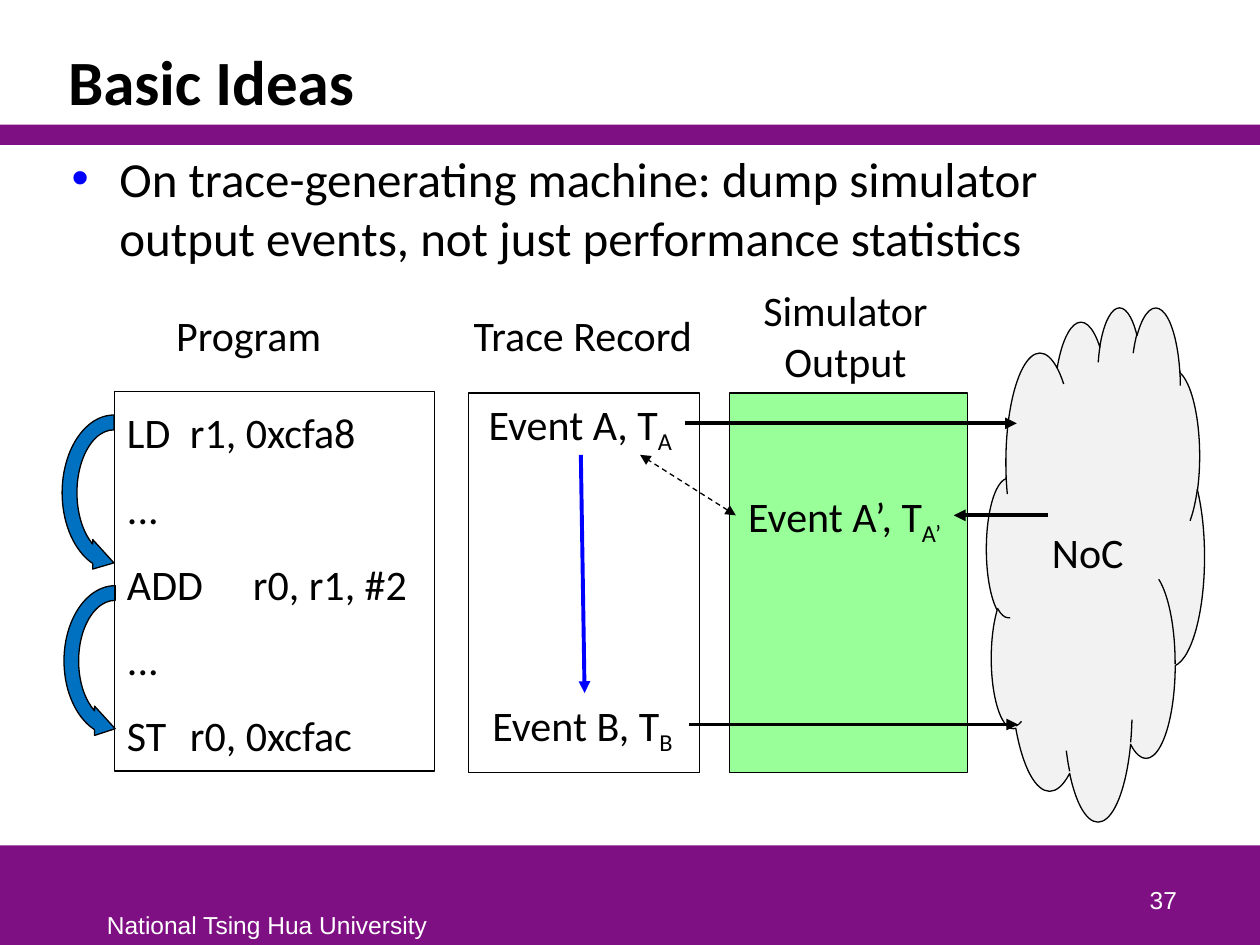
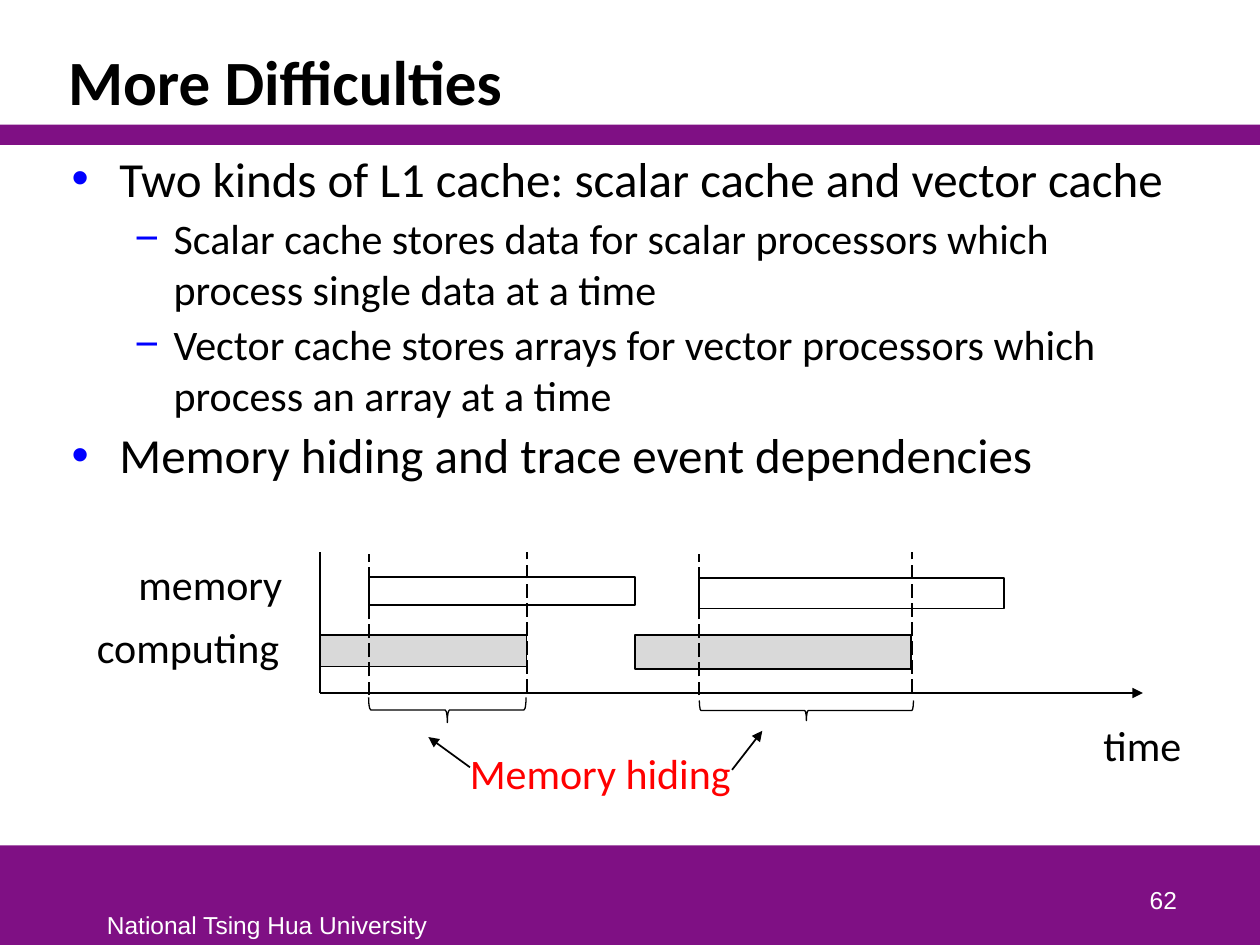
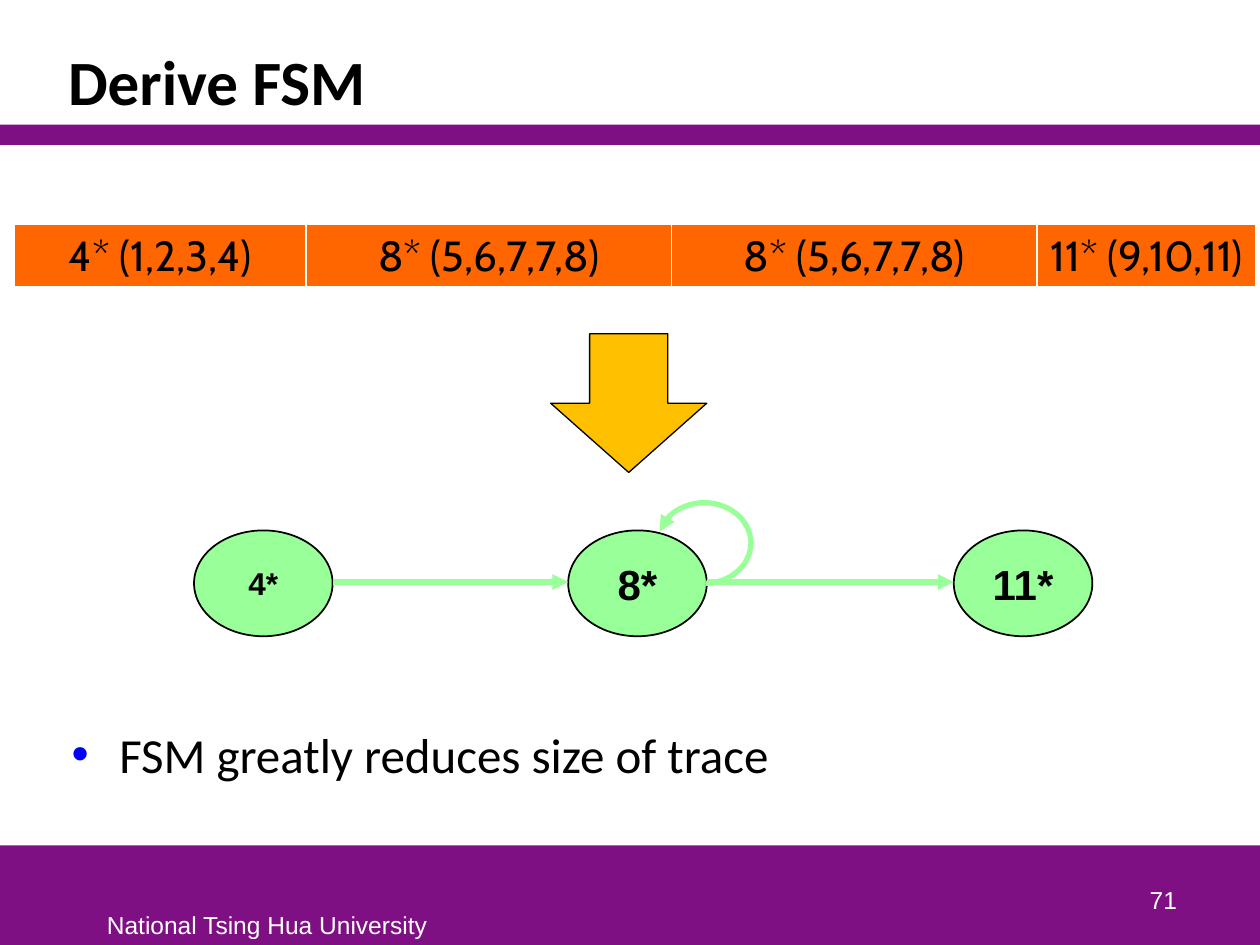
"""Build three slides on trace-driven simulation."""
from dataclasses import dataclass
from typing import NamedTuple

from lxml import etree
from pptx import Presentation
from pptx import util as u
from pptx.dml.color import RGBColor
from pptx.enum import dml, shapes, text
from pptx.oxml.ns import qn

COLOURS = {
    "black": "000000", "white": "FFFFFF", "purple": "7F1084", "blue": "0000FF",
    "red": "FF0000", "green": "99FF99", "arrow": "0070C0", "cloud": "F2F2F2",
    "computing": "D9D9D9", "orange": "FF6600", "amber": "FFC000",
}
SHAPE = shapes.MSO_SHAPE
ALIGN = text.PP_ALIGN
ANCHOR = text.MSO_ANCHOR
DASH = dml.MSO_LINE


class Box(NamedTuple):
    left: float
    top: float
    width: float
    height: float

    def lengths(self) -> tuple:
        return tuple(u.Inches(value) for value in self)


class BulletStyle(NamedTuple):
    symbol: str
    size: int
    margin: float
    hanging: float


@dataclass
class Figure:
    kind: int
    box: Box
    fill: str | None = None
    line: str | None = "black"
    weight: float = 0.75
    rotation: int = 0
    flip: str = ""
    label: str = ""
    label_format: dict | None = None


@dataclass
class Label:
    content: str
    box: Box
    subscript: str = ""
    colour: str = "black"
    align: int = ALIGN.LEFT
    spacing: float | None = None


@dataclass
class Line:
    start: tuple
    end: tuple
    colour: str = "black"
    weight: float = 1
    dash: int | None = None
    head: bool = False
    tail: bool = False


BULLETS = (BulletStyle("•", 28, 0.38, 0.38), BulletStyle("−", 24, 0.81, 0.31))
TITLE = Box(0.44, 0.25, 8.97, 0.74)
BODY = Box(0.47, 1.13, 8.94, 5.53)
BANDS = (Box(0, 6.71, 10, 0.79), Box(0, 0.99, 10, 0.16))
FOOTER = Box(0.75, 7.17, 2.76, 0.33)
NUMBER = Box(7.36, 6.81, 2.08, 0.5)


def rgb(name: str) -> RGBColor:
    """Return the named colour."""
    return RGBColor.from_string(COLOURS[name])


def write(frame, content: str, *, size: float = 24, font: str = "Calibri",
          colour: str = "black", bold: bool = False, align: int = ALIGN.LEFT,
          anchor: int = ANCHOR.TOP, wrap: bool = False, spacing: float | None = None,
          subscript: str = "", levels: tuple = ()) -> None:
    """Fill a text frame, one paragraph a line, bulleted when levels are given."""
    frame.word_wrap = wrap
    frame.auto_size = text.MSO_AUTO_SIZE.NONE
    frame.vertical_anchor = anchor
    for index, words in enumerate(content.split("\n")):
        paragraph = frame.add_paragraph() if index else frame.paragraphs[0]
        paragraph.alignment = align
        paragraph.line_spacing = spacing
        paragraph.space_before = u.Pt(3 if levels and index else 0)
        points = size
        if levels:
            points = BULLETS[levels[index]].size
            add_bullet(paragraph, levels[index])
        parts = [words, subscript] if subscript else [words]
        for position, part in enumerate(parts):
            run = paragraph.add_run()
            run.text = part
            run.font.size = u.Pt(points)
            run.font.name = font
            run.font.bold = bold
            run.font.color.rgb = rgb(colour)
            if position:
                run._r.get_or_add_rPr().set("baseline", "-25000")


def add_bullet(paragraph, level: int) -> None:
    """Give a paragraph the bullet and indent of its level."""
    style = BULLETS[level]
    properties = paragraph._p.get_or_add_pPr()
    properties.set("lvl", str(level))
    properties.set("marL", str(u.Inches(style.margin)))
    properties.set("indent", str(-u.Inches(style.hanging)))
    tint = etree.SubElement(properties, qn("a:buClr"))
    etree.SubElement(tint, qn("a:srgbClr"), val=COLOURS["blue"])
    etree.SubElement(properties, qn("a:buFont"), typeface="Arial")
    etree.SubElement(properties, qn("a:buChar"), char=style.symbol)


def add_text(slide, box: Box, content: str, **text_format):
    """Add a text box."""
    shape = slide.shapes.add_textbox(*box.lengths())
    write(shape.text_frame, content, **text_format)
    return shape


def add_label(slide, label: Label):
    """Add a diagram label."""
    return add_text(slide, label.box, label.content, subscript=label.subscript,
                    colour=label.colour, align=label.align, spacing=label.spacing)


def add_figure(slide, figure: Figure):
    """Add a preset shape with its fill, outline and label."""
    shape = slide.shapes.add_shape(figure.kind, *figure.box.lengths())
    shape.shadow.inherit = False
    shape.rotation = figure.rotation
    if figure.flip:
        shape._element.spPr.find(qn("a:xfrm")).set(figure.flip, "1")
    if figure.fill:
        shape.fill.solid()
        shape.fill.fore_color.rgb = rgb(figure.fill)
    else:
        shape.fill.background()
    if figure.line:
        shape.line.color.rgb = rgb(figure.line)
        shape.line.width = u.Pt(figure.weight)
    else:
        shape.line.fill.background()
    if figure.label:
        write(shape.text_frame, figure.label, align=ALIGN.CENTER,
              anchor=ANCHOR.MIDDLE, **(figure.label_format or {}))
    return shape


def add_arrowhead(shape, end: str) -> None:
    """Put a triangle on one end of a line."""
    outline = shape._element.spPr.find(qn("a:ln"))
    etree.SubElement(outline, qn(f"a:{end}"), type="triangle")


def add_line(slide, line: Line):
    """Add a straight line or arrow."""
    points = (u.Inches(value) for value in (*line.start, *line.end))
    connector = slide.shapes.add_connector(shapes.MSO_CONNECTOR.STRAIGHT, *points)
    connector.line.color.rgb = rgb(line.colour)
    connector.line.width = u.Pt(line.weight)
    if line.dash:
        connector.line.dash_style = line.dash
    if line.head:
        add_arrowhead(connector, "headEnd")
    if line.tail:
        add_arrowhead(connector, "tailEnd")
    etree.SubElement(connector._element.spPr, qn("a:effectLst"))
    return connector


def add_slide(presentation, title: str, number: int):
    """Add a titled slide with bands, footer and slide number."""
    slide = presentation.slides.add_slide(presentation.slide_layouts[5])
    for band in BANDS:
        add_figure(slide, Figure(SHAPE.RECTANGLE, band, "purple", None))
    heading = slide.shapes.title
    heading.left, heading.top, heading.width, heading.height = TITLE.lengths()
    write(heading.text_frame, title, size=36, bold=True, wrap=True,
          anchor=ANCHOR.BOTTOM, spacing=0.85)
    small = {"size": 14, "font": "Arial", "colour": "white"}
    add_text(slide, FOOTER, "National Tsing Hua University", **small)
    add_text(slide, NUMBER, str(number), align=ALIGN.RIGHT,
             anchor=ANCHOR.BOTTOM, wrap=True, **small)
    return slide


def build_basic_ideas(presentation) -> None:
    """Show how program, trace record and simulator output relate."""
    slide = add_slide(presentation, "Basic Ideas", 37)
    add_text(slide, BODY, "On trace-generating machine: dump simulator output events, "
             "not just performance statistics", wrap=True, levels=(0,))
    program = "LD\tr1, 0xcfa8\n...\nADD\tr0, r1, #2\n...\nST\tr0, 0xcfac"
    add_figure(slide, Figure(SHAPE.RECTANGLE, Box(5.79, 3.12, 1.89, 3.01), "green"))
    add_label(slide, Label(program, Box(0.91, 2.98, 2.54, 3.13), spacing=1.5))
    for box in (Box(0.23, 3.44, 1.35, 0.94), Box(0.26, 4.78, 1.31, 0.93)):
        add_figure(slide, Figure(SHAPE.CIRCULAR_ARROW, box, "arrow",
                                 rotation=270, flip="flipH"))
    add_figure(slide, Figure(SHAPE.CLOUD, Box(7.83, 2.43, 1.73, 4.08), "cloud", label="NoC"))
    for box in (Box(0.91, 3.11, 2.54, 3.01), Box(3.72, 3.12, 1.83, 3.01)):
        add_figure(slide, Figure(SHAPE.RECTANGLE, box))
    for label in (
        Label("Program", Box(1.3, 2.41, 1.36, 0.5)),
        Label("Trace Record", Box(3.66, 2.41, 1.95, 0.5)),
        Label("Simulator\nOutput", Box(5.95, 2.21, 1.52, 0.91), align=ALIGN.CENTER),
    ):
        add_label(slide, label)
    event_a = add_label(slide, Label("Event A, T", Box(3.78, 3.11, 1.66, 0.5), "A"))
    event_b = add_label(slide, Label("Event B, T", Box(3.81, 5.5, 1.66, 0.5), "B"))
    reply = add_label(slide, Label("Event A’, T", Box(5.84, 3.84, 1.73, 0.5), "A’"))
    for event, side, line in (
        (event_a, 3, Line((5.44, 3.36), (8.07, 3.36), weight=2.25, tail=True)),
        (event_b, 3, Line((5.47, 5.75), (8.08, 5.75), weight=2.25, tail=True)),
        (reply, 3, Line((7.58, 4.09), (8.32, 4.09), weight=2.25, head=True)),
        (reply, 1, Line((5.84, 4.09), (5.08, 3.61), weight=0.75, dash=DASH.DASH,
                        head=True, tail=True)),
    ):
        add_line(slide, line).begin_connect(event, side)
    order = add_line(slide, Line((4.61, 3.59), (4.61, 5.48), "blue", 2.25, tail=True))
    order.begin_connect(event_a, 2)
    order.end_connect(event_b, 0)


def build_more_difficulties(presentation) -> None:
    """Show memory accesses hidden behind computing on a time line."""
    slide = add_slide(presentation, "More Difficulties", 62)
    add_text(slide, BODY, "\n".join((
        "Two kinds of L1 cache: scalar cache and vector cache",
        "Scalar cache stores data for scalar processors which process single data at a time",
        "Vector cache stores arrays for vector processors which process an array at a time",
        "Memory hiding and trace event dependencies",
    )), wrap=True, levels=(0, 1, 1, 0))
    for box, fill in (
        (Box(2.93, 4.58, 2.11, 0.22), "white"), (Box(5.55, 4.59, 2.42, 0.24), "white"),
        (Box(2.54, 5.04, 1.64, 0.25), "computing"), (Box(5.04, 5.04, 2.19, 0.27), "computing"),
    ):
        add_figure(slide, Figure(SHAPE.RECTANGLE, box, fill, weight=1))
    add_line(slide, Line((2.54, 5.5), (9.07, 5.5), weight=1.5, tail=True))
    add_line(slide, Line((2.54, 5.5), (2.54, 4.38), weight=1.5))
    for left, bottom in ((2.93, 5.52), (4.18, 5.5), (5.55, 5.52), (7.24, 5.5)):
        add_line(slide, Line((left, bottom), (left, bottom - 1.12), dash=DASH.LONG_DASH))
    for box in (Box(3.45, 5.01, 0.2, 1.25), Box(6.32, 4.79, 0.16, 1.7)):
        add_figure(slide, Figure(SHAPE.RIGHT_BRACE, box, rotation=90))
    for label in (
        Label("memory", Box(1, 4.38, 1.36, 0.5)),
        Label("computing", Box(0.67, 4.88, 1.66, 0.5)),
        Label("time", Box(8.66, 5.66, 0.83, 0.5)),
        Label("Memory hiding", Box(3.63, 5.88, 2.29, 0.5), colour="red"),
    ):
        add_label(slide, label)
    add_line(slide, Line((3.73, 6.09), (3.4, 5.85), tail=True))
    add_line(slide, Line((5.81, 6.11), (6.05, 5.8), tail=True))


def add_patterns(slide, box: Box, columns: dict) -> None:
    """Add the one-row table of repeated patterns."""
    table = slide.shapes.add_table(1, len(columns["widths"]), *box.lengths()).table
    for index, (width, pattern) in enumerate(zip(columns["widths"], columns["patterns"])):
        table.columns[index].width = u.Inches(width)
        cell = table.cell(0, index)
        write(cell.text_frame, pattern, font="Cabin", align=ALIGN.CENTER, wrap=True)
        cell.vertical_anchor = ANCHOR.MIDDLE
        properties = cell._tc.get_or_add_tcPr()
        for side, weight in (("L", 1), ("R", 1), ("T", 1), ("B", 3)):
            border = etree.SubElement(properties, qn(f"a:ln{side}"), w=str(u.Pt(weight)))
            fill = etree.SubElement(border, qn("a:solidFill"))
            etree.SubElement(fill, qn("a:srgbClr"), val=COLOURS["white"])
        cell.fill.solid()
        cell.fill.fore_color.rgb = rgb("orange")


def build_derive_fsm(presentation) -> None:
    """Show a pattern table turned into a state machine."""
    slide = add_slide(presentation, "Derive FSM", 71)
    add_text(slide, Box(0.47, 5.7, 8.94, 0.6), "FSM greatly reduces size of trace",
             wrap=True, levels=(0,))
    for left, name, size in ((1.54, "4*", 18), (4.51, "8*", 24), (7.57, "11*", 24)):
        add_figure(slide, Figure(
            SHAPE.OVAL, Box(left, 4.21, 1.1, 0.84), "green", weight=1, label=name,
            label_format={"size": size, "font": "Arial", "bold": True}))
    for start, end in ((2.64, 4.51), (5.61, 7.57)):
        add_line(slide, Line((start, 4.62), (end, 4.62), "green", 3, tail=True))
    loop = add_figure(slide, Figure(SHAPE.ARC, Box(5.22, 3.99, 0.74, 0.64),
                                    line="green", weight=3, flip="flipV"))
    loop.adjustments[0], loop.adjustments[1] = 163.36, 99.37
    add_arrowhead(loop, "tailEnd")
    add_figure(slide, Figure(SHAPE.DOWN_ARROW, Box(4.37, 2.65, 1.24, 1.1), "amber"))
    add_patterns(slide, Box(0.11, 1.78, 9.85, 0.41), {
        "widths": (2.32, 2.9, 2.9, 1.74),
        "patterns": ("4* (1,2,3,4)", "8* (5,6,7,7,8)", "8* (5,6,7,7,8)", "11* (9,10,11)"),
    })


def main() -> None:
    """Build and save the presentation."""
    presentation = Presentation()
    presentation.slide_width, presentation.slide_height = u.Inches(10), u.Inches(7.5)
    build_basic_ideas(presentation)
    build_more_difficulties(presentation)
    build_derive_fsm(presentation)
    presentation.save("out.pptx")


if __name__ == "__main__":
    main()
